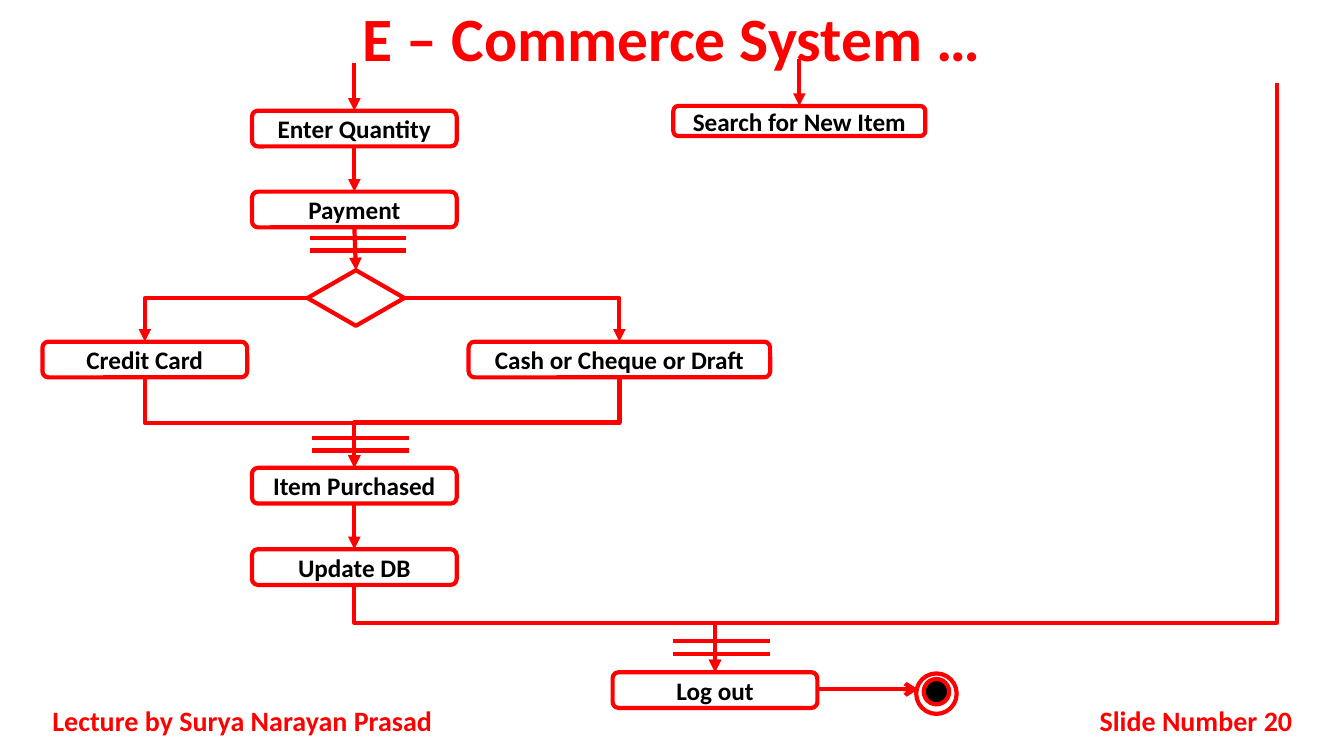
from pptx import Presentation
from pptx.util import Cm, Pt
from pptx.dml.color import RGBColor
from pptx.enum.shapes import MSO_SHAPE, MSO_CONNECTOR
from pptx.enum.text import PP_ALIGN, MSO_ANCHOR
from pptx.oxml.ns import qn
from lxml.etree import SubElement

RED = RGBColor(255, 0, 0)
BLACK = RGBColor(0, 0, 0)
WHITE = RGBColor(255, 255, 255)

TITLE = "E – Commerce System …"
FOOTERS = [
    ("Lecture by Surya Narayan Prasad", 1.07, 10.59, PP_ALIGN.JUSTIFY),
    ("Slide Number 20", 25.83, 6.99, PP_ALIGN.RIGHT),
]
BOX_W, BOX_H = 5.16, 0.9
MAIN_X, PAY_Y = 6.35, 8.61
ACTIVITIES = [
    ("Enter Quantity", MAIN_X, 2.79, BOX_W, BOX_H),
    ("Payment", MAIN_X, 4.83, BOX_W, BOX_H),
    ("Credit Card", 1.07, PAY_Y, BOX_W, BOX_H),
    ("Cash or Cheque or Draft", 11.81, PAY_Y, 7.6, BOX_H),
    ("Item Purchased", MAIN_X, 11.79, BOX_W, BOX_H),
    ("Update DB", MAIN_X, 13.84, BOX_W, BOX_H),
    ("Log out", 15.44, 16.94, BOX_W, BOX_H),
    ("Search for New Item", 16.97, 2.67, 6.35, 0.76),
]
DECISION = (7.75, 6.81, 2.44, 1.4)
END_X, END_Y = 23.6, 17.37
END_RINGS = [(17.37, 1.02, WHITE), (17.32, 0.64, BLACK)]
SYNC_BARS = [(7.8, 6.0), (7.87, 11.04), (16.97, 16.16)]
BAR_W, BAR_GAP = 2.43, 0.31
PAY_MERGE_Y, LOGOUT_MERGE_Y = 10.65, 15.69
SIDE_START = (32.18, 2.08)


def style_text(p, text, align, **font):
    p.alignment = align
    r = p.add_run()
    r.text = text
    for key, value in {"name": "Calibri", "bold": True, **font}.items():
        if key == "color":
            r.font.color.rgb = value
        else:
            setattr(r.font, key, value)


def add_node(kind, x, y, w, h, fill=None):
    sp = s.shapes.add_shape(kind, Cm(x), Cm(y), Cm(w), Cm(h))
    sp.shadow.inherit = False
    if fill is None:
        sp.fill.background()
    else:
        sp.fill.solid()
        sp.fill.fore_color.rgb = fill
    sp.line.color.rgb = RED
    sp.line.width = Pt(3)
    return sp


def add_line(start, end, head="triangle", kind=MSO_CONNECTOR.STRAIGHT):
    c = s.shapes.add_connector(kind, *(Cm(v) for v in (*start, *end)))
    c.line.color.rgb = RED
    c.line.width = Pt(3)
    if head:
        SubElement(c.line._get_or_add_ln(), qn("a:tailEnd"), type=head)
    SubElement(c._element.spPr, qn("a:effectLst"))
    return c


def add_branch(start, end):
    (x1, y1), (x2, y2) = start, end
    if x2 < x1:
        start, end = (x2, y2), (x1, y1)
        start, end = (start[0], start[1]), (end[0], end[1])
    c = add_line(start, end, kind=MSO_CONNECTOR.ELBOW)
    c._element.spPr.prstGeom.set("prst", "bentConnector2")
    if x2 < x1:
        c._element.spPr.xfrm.set("rot", "10800000")


def add_merge(start, end, turn_y):
    (x1, y1), (x2, y2) = start, end
    cx, cy = (x1 + x2) / 2, (y1 + y2) / 2
    half_w, half_h = (y2 - y1) / 2, abs(x2 - x1) / 2
    side = 1 if x2 < x1 else -1
    c = add_line((cx - side * half_w, cy - half_h), (cx + side * half_w, cy + half_h),
                 kind=MSO_CONNECTOR.ELBOW)
    geom = c._element.spPr
    geom.xfrm.set("rot", "5400000" if side == 1 else "16200000")
    ratio = round((turn_y - y1) / (y2 - y1) * 100000)
    SubElement(geom.prstGeom.get_or_add_avLst(), qn("a:gd"), name="adj1", fmla=f"val {ratio}")


def top(name):
    x, y, w, h = place[name]
    return x + w / 2, y


def bottom(name):
    x, y, w, h = place[name]
    return x + w / 2, y + h


prs = Presentation()
prs.slide_width, prs.slide_height = Cm(33.87), Cm(19.05)
s = prs.slides.add_slide(prs.slide_layouts[5])

title = s.shapes.title
title.left, title.top, title.width, title.height = Cm(0), Cm(0), Cm(33.87), Cm(2.1)
title.text_frame.vertical_anchor = MSO_ANCHOR.MIDDLE
p = title.text_frame.paragraphs[0]
p.line_spacing = 0.9
style_text(p, TITLE, PP_ALIGN.CENTER, size=Pt(44), color=RED)

for text, x, w, align in FOOTERS:
    tf = s.shapes.add_textbox(Cm(x), Cm(17.65), Cm(w), Cm(1.02)).text_frame
    tf.word_wrap = True
    tf.vertical_anchor = MSO_ANCHOR.MIDDLE
    style_text(tf.paragraphs[0], text, align, size=Pt(20), color=RED)

place = {name: tuple(box) for name, *box in ACTIVITIES}
for name, box in place.items():
    tf = add_node(MSO_SHAPE.ROUNDED_RECTANGLE, *box).text_frame
    tf.word_wrap = True
    tf.vertical_anchor = MSO_ANCHOR.MIDDLE
    style_text(tf.paragraphs[0], name, PP_ALIGN.CENTER, size=Pt(18), color=BLACK)

add_node(MSO_SHAPE.FLOWCHART_DECISION, *DECISION)
for cy, d, fill in END_RINGS:
    add_node(MSO_SHAPE.OVAL, END_X - d / 2, cy + 0.11 - d / 2, d, d, fill)

for x, y in SYNC_BARS:
    for bar_y in (y, y + BAR_GAP):
        add_line((x, bar_y), (x + BAR_W, bar_y), head=None)

dx, dy, dw, dh = DECISION
for start, end in [
    (bottom("Enter Quantity"), top("Payment")),
    (bottom("Payment"), (dx + dw / 2, dy)),
    (bottom("Item Purchased"), top("Update DB")),
]:
    add_line(start, end)
for name in ("Enter Quantity", "Search for New Item"):
    x, y = top(name)
    add_line((x, y - 1.19), (x, y))
add_line((15.44 + BOX_W, END_Y), (23.14, END_Y), head="arrow")

add_branch((dx, dy + dh / 2), top("Credit Card"))
add_branch((dx + dw, dy + dh / 2), top("Cash or Cheque or Draft"))
for start, name, turn_y in [
    (bottom("Credit Card"), "Item Purchased", PAY_MERGE_Y),
    (bottom("Cash or Cheque or Draft"), "Item Purchased", PAY_MERGE_Y),
    (bottom("Update DB"), "Log out", LOGOUT_MERGE_Y),
    (SIDE_START, "Log out", LOGOUT_MERGE_Y),
]:
    add_merge(start, top(name), turn_y)

prs.save("out.pptx")
